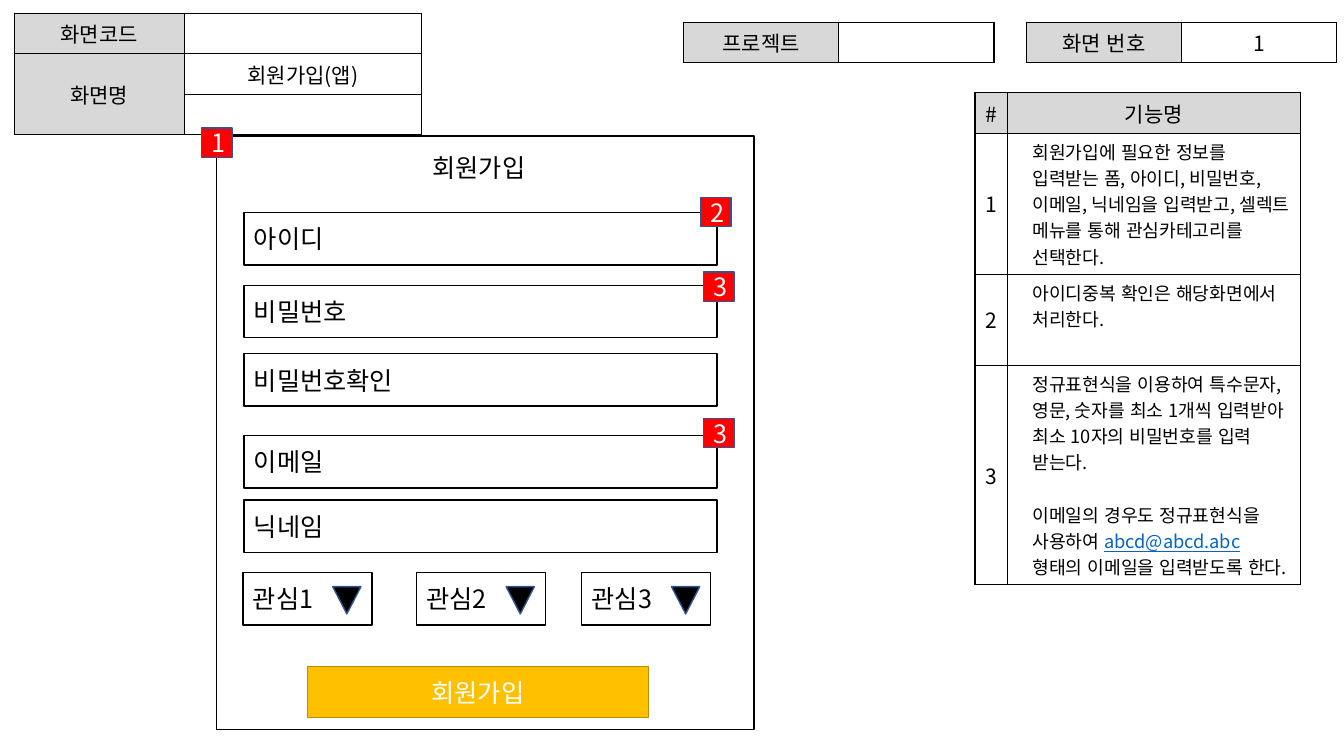
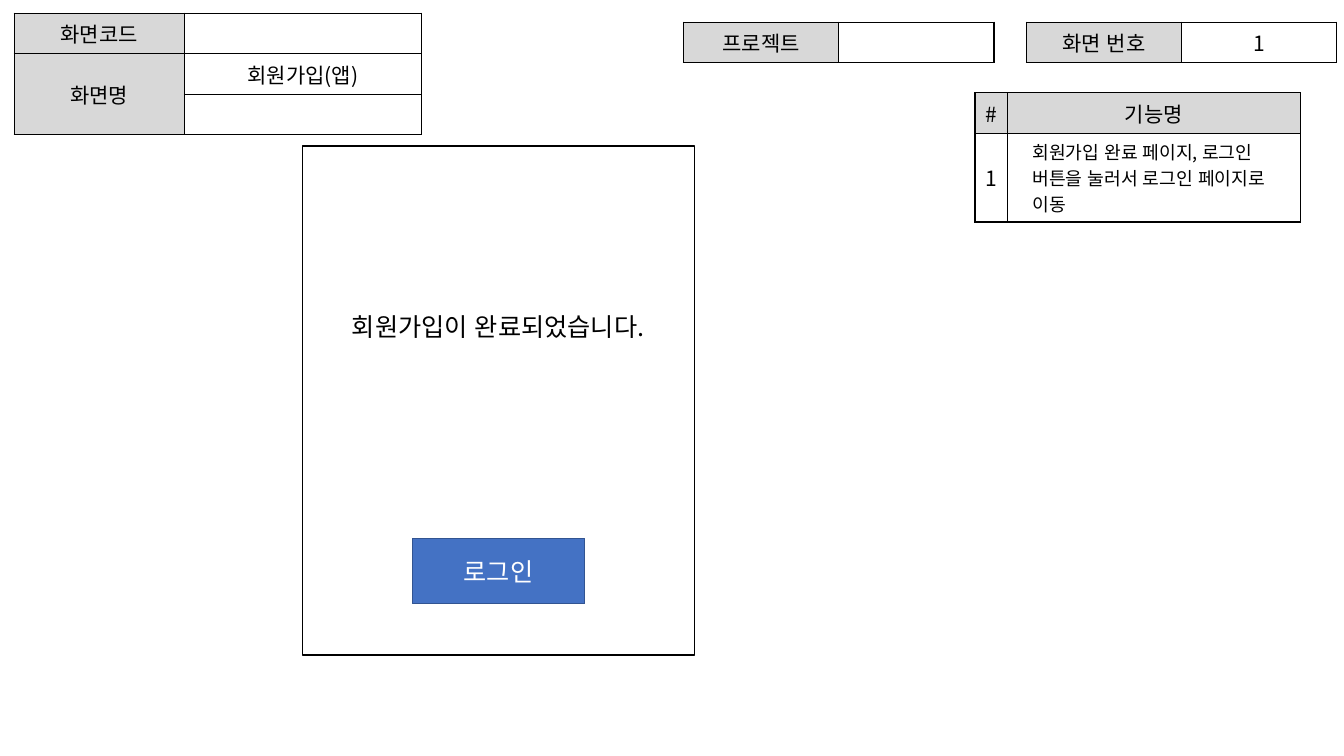
from lxml import etree
from pptx import Presentation
from pptx.dml.color import RGBColor
from pptx.enum.lang import MSO_LANGUAGE_ID
from pptx.enum.shapes import MSO_SHAPE
from pptx.enum.text import MSO_ANCHOR, MSO_AUTO_SIZE, PP_ALIGN
from pptx.oxml.ns import qn
from pptx.util import Inches, Pt

RECT, ARROW = MSO_SHAPE.RECTANGLE, MSO_SHAPE.ISOSCELES_TRIANGLE
LEFT, MID = PP_ALIGN.LEFT, PP_ALIGN.CENTER
TOP, CENTER = MSO_ANCHOR.TOP, MSO_ANCHOR.MIDDLE
FIXED, KOREAN = MSO_AUTO_SIZE.NONE, MSO_LANGUAGE_ID.KOREAN
FONT = "Noto Sans CJK KR"
HEAD, NOTE, FORM = 15, 13, 18
TITLE_ONLY = 5
ROW = 0.4
COLORS = {
    "ink": "000000", "paper": "FFFFFF", "label": "D8D8D8",
    "badge": "FF0000", "edge": "325491", "gold": "FFC000",
    "rim": "BD8E00", "blue": "4472C4", "link": "0563C1",
}


def tint(name):
    """Return the named colour."""
    return RGBColor.from_string(COLORS[name])


class Deck:
    """Holds the style and the current slide."""

    def __init__(self):
        """Start a wide deck."""
        self.file = Presentation()
        self.file.slide_width = Inches(13.33)
        self.file.slide_height = Inches(7.5)
        self.slide = None

    def page(self):
        """Add a slide with the header tables."""
        layout = self.file.slide_layouts[TITLE_ONLY]
        self.slide = self.file.slides.add_slide(layout)
        code = self.table(0.14, 0.13, [1.69, 2.35], [ROW] * 3, [
            ["화면코드", ""], ["화면명", "회원가입(앱)"], ["", ""]])
        code.cell(1, 0).merge(code.cell(2, 0))
        for left, label, value in [(6.78, "프로젝트", ""),
                                   (10.18, "화면 번호", "1")]:
            self.table(left, 0.22, [1.54] * 2, [ROW], [[label, value]])

    def run(self, para, text, size, color="ink"):
        """Add one styled run to a paragraph."""
        run = para.add_run()
        run.text = text
        font = run.font
        font.size, font.name, font.bold = Pt(size), FONT, False
        font.language_id = KOREAN
        font.color.rgb = tint(color)
        if color == "link":
            font.underline = True
        east = etree.Element(qn("a:ea"), typeface=FONT)
        font._element.find(qn("a:latin")).addnext(east)

    def title(self, text, left, top, width, align=LEFT):
        """Place and fill the title."""
        box = self.slide.shapes.title
        box.left, box.top = Inches(left), Inches(top)
        box.width, box.height = Inches(width), Inches(0.4)
        frame = box.text_frame
        frame.word_wrap, frame.auto_size = True, FIXED
        frame.vertical_anchor = TOP
        para = frame.paragraphs[0]
        para.alignment = align
        self.run(para, text, FORM)

    def shape(self, left, top, width, height, text="", fill=None,
              line="ink", color="ink", align=LEFT, kind=RECT):
        """Add an outlined shape, with text if given."""
        item = self.slide.shapes.add_shape(
            kind, Inches(left), Inches(top), Inches(width), Inches(height))
        item.shadow.inherit = False
        item.line.color.rgb, item.line.width = tint(line), Pt(1)
        if fill:
            item.fill.solid()
            item.fill.fore_color.rgb = tint(fill)
        else:
            item.fill.background()
        if text:
            para = item.text_frame.paragraphs[0]
            para.alignment = align
            self.run(para, text, FORM, color)
        return item

    def badge(self, left, top, text):
        """Add a red number mark."""
        self.shape(left, top, 0.3, 0.29, text, "badge", "edge", "paper", MID)

    def field(self, top, text):
        """Add a wide input field."""
        self.shape(2.42, top, 4.69, 0.52, text)

    def menu(self, left, text):
        """Add a select box with its arrow."""
        self.shape(left, 5.68, 1.28, 0.52, text)
        arrow = self.shape(left + 0.89, 5.82, 0.28, 0.27, fill="ink",
                           line="edge", kind=ARROW)
        arrow.rotation = 180

    def cell(self, cell, text, fill):
        """Border and fill a cell; centre its text."""
        props = cell._tc.get_or_add_tcPr()
        for side in ("a:lnL", "a:lnR", "a:lnT", "a:lnB"):
            line = etree.SubElement(props, qn(side), w=str(Pt(1)))
            solid = etree.SubElement(line, qn("a:solidFill"))
            etree.SubElement(solid, qn("a:srgbClr"), val=COLORS["ink"])
        cell.fill.solid()
        cell.fill.fore_color.rgb = tint(fill)
        cell.vertical_anchor = CENTER
        para = cell.text_frame.paragraphs[0]
        para.alignment = MID
        if text:
            self.run(para, text, HEAD)
        else:
            end = etree.SubElement(para._p, qn("a:endParaRPr"))
            end.set("sz", str(HEAD * 100))

    def table(self, left, top, cols, rows, data, header=False):
        """Add a grid with grey labels in the first column or row."""
        frame = self.slide.shapes.add_table(
            len(rows), len(cols), Inches(left), Inches(top),
            Inches(sum(cols)), Inches(sum(rows)))
        grid = frame.table
        grid.first_row = grid.horz_banding = False
        for col, width in zip(grid.columns, cols):
            col.width = Inches(width)
        for row, height in zip(grid.rows, rows):
            row.height = Inches(height)
        for y, line in enumerate(data):
            for x, text in enumerate(line):
                label = y == 0 if header else x == 0
                self.cell(grid.cell(y, x), text,
                          "label" if label else "paper")
        return grid

    def notes(self, rows, items):
        """Add the function list; an item is paragraphs of runs."""
        data = [["#", "기능명"]]
        data += [[str(n), ""] for n in range(1, len(items) + 1)]
        grid = self.table(9.67, 0.92, [0.32, 2.91], [ROW] + rows, data, True)
        for y, item in enumerate(items, 1):
            cell = grid.cell(y, 1)
            cell.vertical_anchor = TOP
            frame = cell.text_frame
            for n, runs in enumerate(item):
                para = frame.add_paragraph() if n else frame.paragraphs[0]
                para.alignment = LEFT
                para._p.get_or_add_pPr().set("marL", str(Inches(0.15)))
                if n:
                    para.space_before = Pt(18.8)
                for text, color in runs:
                    self.run(para, text, NOTE, color)


def form(deck):
    """Build the sign-up form."""
    deck.page()
    deck.notes([1.4, 0.9, 2.17], [
        [[("회원가입에 필요한 정보를 입력받는 폼, 아이디, 비밀번호, 이메일, "
           "닉네임을 입력받고, 셀렉트 메뉴를 통해 관심카테고리를 선택한다.",
           "ink")]],
        [[("아이디중복 확인은 해당화면에서 처리한다.", "ink")]],
        [[("정규표현식을 이용하여 특수문자, 영문, 숫자를 최소 1개씩 "
           "입력받아 최소 10자의 비밀번호를 입력 받는다.", "ink")],
         [("이메일의 경우도 정규표현식을 사용하여 ", "ink"),
          ("abcd@abcd.abc", "link"),
          (" 형태의 이메일을 입력받도록 한다.", "ink")]],
    ])
    deck.title("회원가입", 4.19, 1.46, 1.3)
    deck.shape(2.15, 1.35, 5.33, 5.89)
    for top, text in [(2.11, "아이디"), (2.83, "비밀번호"),
                      (3.51, "비밀번호확인"), (4.32, "이메일"),
                      (4.96, "닉네임")]:
        deck.field(top, text)
    for n, left in enumerate([2.41, 4.13, 5.77], 1):
        deck.menu(left, f"관심{n}")
    deck.shape(3.05, 6.61, 3.38, 0.51, "회원가입", "gold", "rim", "paper", MID)
    for left, top, text in [(2, 1.27, "1"), (6.95, 1.96, "2"),
                            (6.98, 2.7, "3"), (6.98, 4.15, "3")]:
        deck.badge(left, top, text)


def done(deck):
    """Build the sign-up complete screen."""
    deck.page()
    deck.notes([0.88], [
        [[("회원가입 완료 페이지, 로그인 버튼을 눌러서 로그인 페이지로 이동",
           "ink")]],
    ])
    deck.shape(3, 1.45, 3.89, 5.05)
    deck.title("회원가입이 완료되었습니다.", 2.72, 3.04, 4.44, MID)
    deck.shape(4.09, 5.34, 1.71, 0.65, "로그인", "blue", "edge", "paper", MID)


deck = Deck()
form(deck)
done(deck)
deck.file.save("out.pptx")
